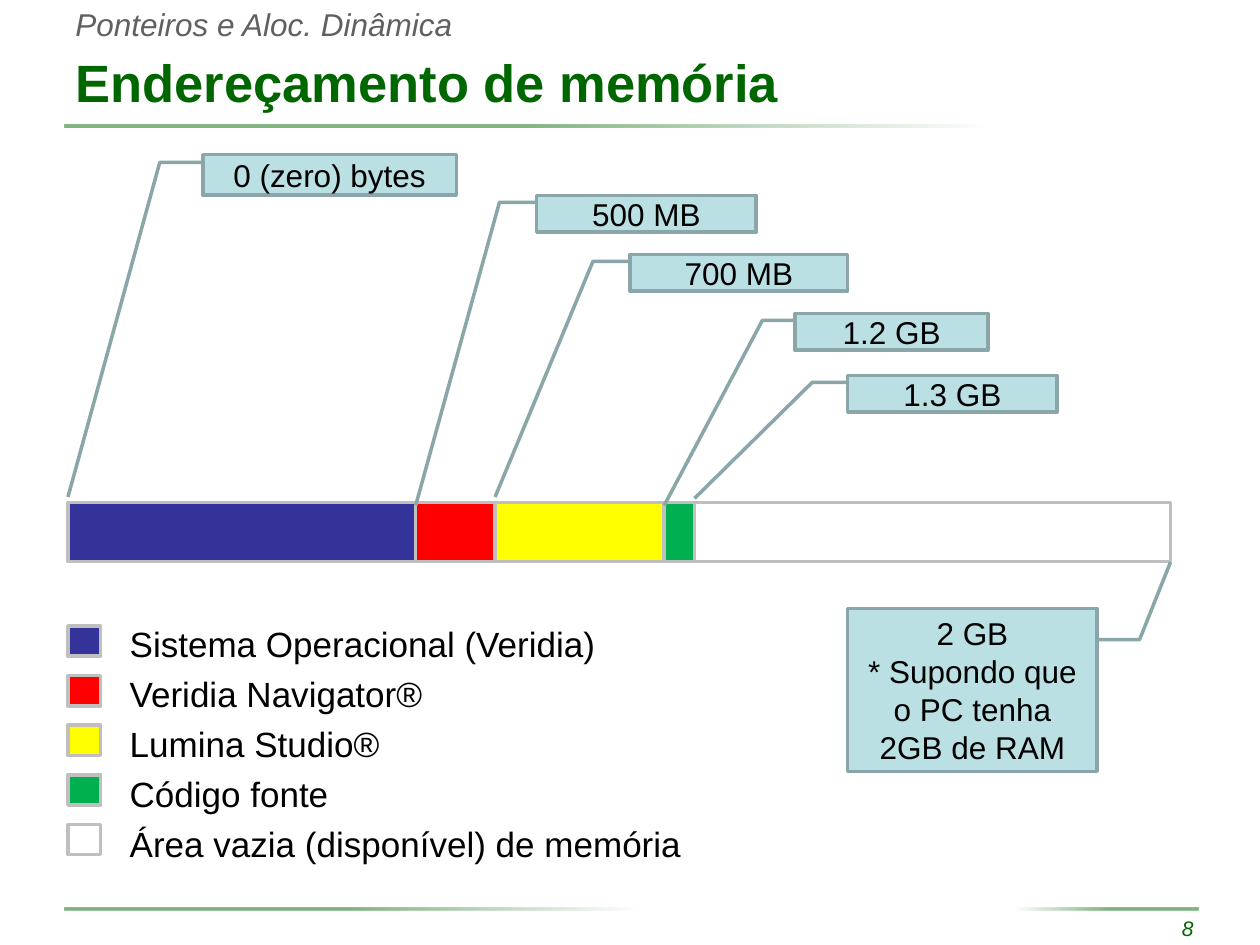
import pptx
import pptx.dml.color
import pptx.enum.shapes
import pptx.enum.text
import pptx.oxml
import pptx.oxml.ns
import pptx.util

Cm, Pt = pptx.util.Cm, pptx.util.Pt
SHAPE = pptx.enum.shapes.MSO_SHAPE
ALIGN = pptx.enum.text.PP_ALIGN
ANCHOR = pptx.enum.text.MSO_ANCHOR

COLORS = {
    "green": "006600", "gray": "606060", "text": "000000", "border": "BFBFBF",
    "callout": "BBE0E3", "callout_line": "8AA6A8", "system": "333399",
    "explorer": "FF0000", "studio": "FFFF00", "source": "00B050", "free": "FFFFFF",
}
HEADER = "Ponteiros e Aloc. Dinâmica"
TITLE = "Endereçamento de memória"
PAGE = "8"

# color, legend label
AREAS = [
    ("system", "Sistema Operacional (Veridia)"),
    ("explorer", "Veridia Navigator®"),
    ("studio", "Lumina Studio®"),
    ("source", "Código fonte"),
    ("free", "Área vazia (disponível) de memória"),
]
# Edges of the memory areas, in cm
EDGES = [1.37, 8.38, 9.98, 13.39, 14.0, 23.6]
BAR_TOP, BAR_HEIGHT = 10.13, 1.19

# One per edge: text, (left, top, width, height), height of the pointer tip
CALLOUTS = [
    ("0 (zero) bytes", (4.09, 3.12, 5.11, 0.81), 10.02),
    ("500 MB", (10.82, 3.94, 4.42, 0.74), 10.19),
    ("700 MB", (12.7, 5.13, 4.39, 0.74), 10.02),
    ("1.2 GB", (16.03, 6.32, 3.89, 0.74), 10.19),
    ("1.3 GB", (17.09, 7.57, 4.22, 0.74), 10.05),
    ("2 GB\n* Supondo que o PC tenha 2GB de RAM", (17.09, 12.27, 5.03, 3.28), 11.33),
]
# (left, top, width), fade angle
RULES = [
    ((1.3, 2.51, 18.59), 0),
    ((1.3, 18.29, 11.53), 0),
    ((20.47, 18.29, 3.68), 180),
]
SWATCH_LEFT, SWATCH_TOP, SWATCH_PITCH = 1.37, 12.62, 1.0
SWATCH_SIZE = (0.66, 0.61)


def rgb(name):
    return pptx.dml.color.RGBColor.from_string(COLORS[name])


def cm(box):
    return [Cm(v) for v in box]


def format_text(tf, size, color, align=ALIGN.LEFT, bold=False, italic=False):
    for p in tf.paragraphs:
        p.alignment = align
        for r in p.runs:
            r.font.name = "Arial"
            r.font.size = Pt(size)
            r.font.bold = bold
            r.font.italic = italic
            r.font.color.rgb = rgb(color)


def add_box(slide, kind, box, fill, line):
    sp = slide.shapes.add_shape(kind, *cm(box))
    sp.shadow.inherit = False
    sp.fill.solid()
    sp.fill.fore_color.rgb = rgb(fill)
    sp.line.color.rgb = rgb(line)
    sp.line.width = Pt(2)
    return sp


def add_rule(slide, box, angle):
    """Thin bar, half transparent, fading to white along the angle."""
    sp = slide.shapes.add_shape(SHAPE.RECTANGLE, *cm((*box, 0.06)))
    sp.shadow.inherit = False
    sp.line.fill.background()
    stops = "".join(
        f'<a:gs pos="{pos}"><a:srgbClr val="{COLORS[color]}"><a:alpha val="50000"/></a:srgbClr></a:gs>'
        for pos, color in [(0, "green"), (50000, "green"), (100000, "free")])
    grad = pptx.oxml.parse_xml(
        f'<a:gradFill {pptx.oxml.ns.nsdecls("a")}><a:gsLst>{stops}</a:gsLst>'
        f'<a:lin ang="{angle * 60000}" scaled="0"/></a:gradFill>')
    sp.element.spPr.find(pptx.oxml.ns.qn("a:prstGeom")).addnext(grad)


def add_callout(slide, text, box, tip_x, tip_y):
    """Callout whose bent pointer leaves the side nearer to the tip."""
    left, top, width, height = box
    sp = add_box(slide, SHAPE.LINE_CALLOUT_2, box, "callout", "callout_line")
    reach = left - tip_x
    if tip_x > left + width:
        sp.element.spPr.xfrm.set("flipH", "1")
        reach = tip_x - left - width
    bend = [0.19, 0, 0.19, -0.17, (tip_y - top) / height, -reach / width]
    for i, value in enumerate(bend):
        sp.adjustments[i] = value
    tf = sp.text_frame
    tf.text = text
    tf.word_wrap = True
    tf.vertical_anchor = ANCHOR.MIDDLE
    format_text(tf, 18, "text", ALIGN.CENTER)


def place(sp, box):
    sp.left, sp.top, sp.width, sp.height = cm(box)


def add_legend(slide):
    body = slide.placeholders[1]
    place(body, (2.36, 12.42, 12.93, 5.11))
    tf = body.text_frame
    tf.text = "\n".join(label for _, label in AREAS)
    tf.auto_size = pptx.enum.text.MSO_AUTO_SIZE.NONE
    format_text(tf, 20, "text")
    for p in tf.paragraphs:
        p.space_before = Pt(4.6)
        pPr = p._p.get_or_add_pPr()
        pPr.set("marL", "0")
        pPr.set("indent", "0")
        pPr.append(pptx.oxml.parse_xml(f'<a:buNone {pptx.oxml.ns.nsdecls("a")}/>'))
    for i, (color, _) in enumerate(AREAS):
        box = (SWATCH_LEFT, SWATCH_TOP + i * SWATCH_PITCH, *SWATCH_SIZE)
        add_box(slide, SHAPE.RECTANGLE, box, color, "border")


def add_label(slide, text, box, wrap, *style, **options):
    tf = slide.shapes.add_textbox(*cm(box)).text_frame
    tf.text = text
    tf.word_wrap = wrap
    format_text(tf, *style, **options)


def main():
    prs = pptx.Presentation()
    prs.slide_width, prs.slide_height = Cm(25.4), Cm(19.05)
    slide = prs.slides.add_slide(prs.slide_layouts[1])

    for box, angle in RULES:
        add_rule(slide, box, angle)
    add_label(slide, HEADER, (1.27, -0.03, 8.18, 1.02), False, 18, "gray", italic=True)
    add_label(slide, PAGE, (19.71, 18.34, 4.6, 0.76), True, 12, "green", ALIGN.RIGHT, italic=True)

    title = slide.shapes.title
    place(title, (1.27, 0.76, 22.86, 1.75))
    title.text_frame.text = TITLE
    title.text_frame.vertical_anchor = ANCHOR.MIDDLE
    format_text(title.text_frame, 30, "green", bold=True)

    for (color, _), start, end in zip(AREAS, EDGES, EDGES[1:]):
        box = (start, BAR_TOP, end - start, BAR_HEIGHT)
        add_box(slide, SHAPE.RECTANGLE, box, color, "border")
    for (text, box, tip_y), edge in zip(CALLOUTS, EDGES):
        add_callout(slide, text, box, edge, tip_y)
    add_legend(slide)

    prs.save("out.pptx")


if __name__ == "__main__":
    main()
